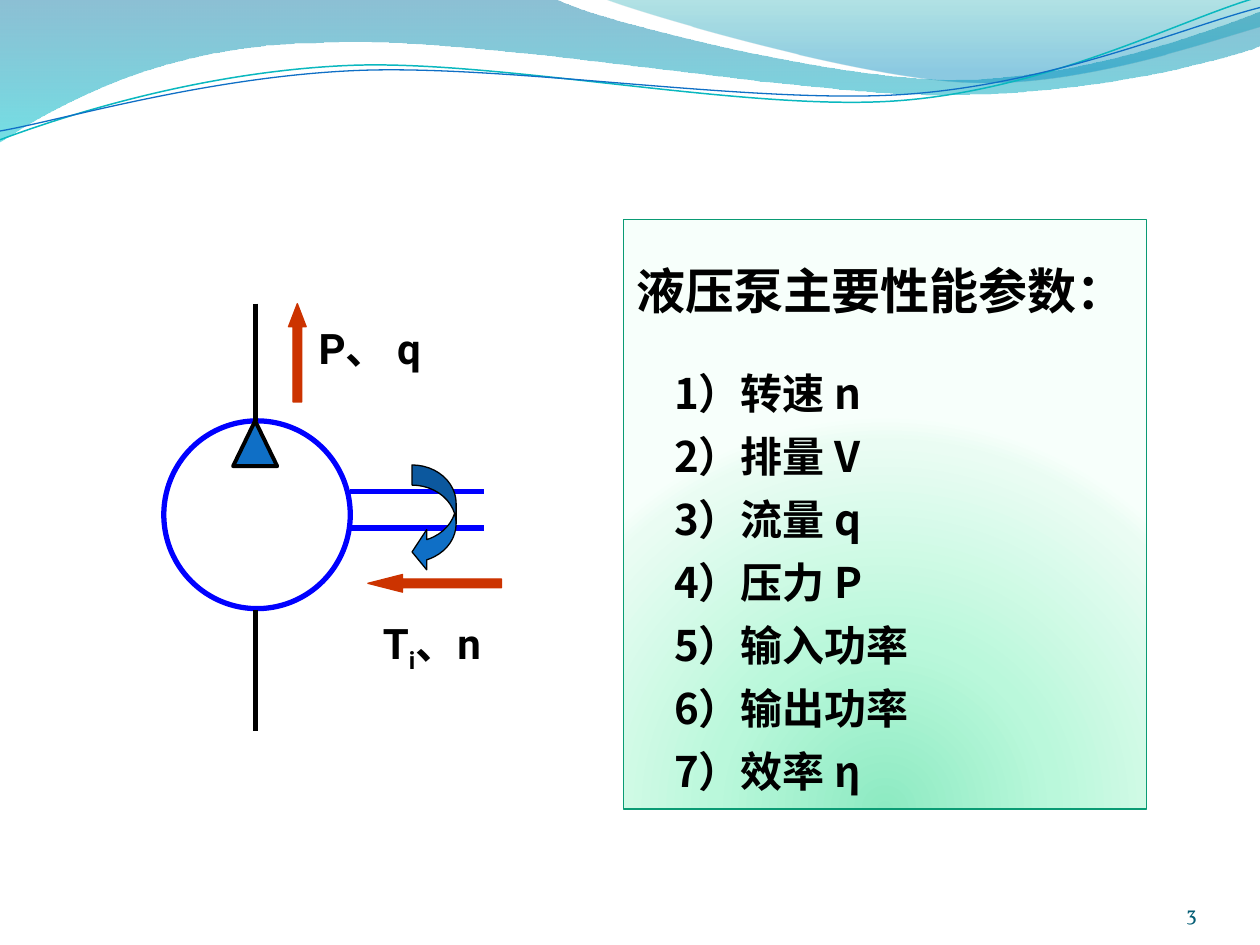
from dataclasses import dataclass
from typing import Optional

from lxml.etree import SubElement
from pptx import Presentation
from pptx.dml.color import RGBColor
from pptx.enum.shapes import MSO_CONNECTOR, MSO_SHAPE
from pptx.enum.text import MSO_ANCHOR, MSO_AUTO_SIZE, PP_ALIGN
from pptx.oxml import parse_xml
from pptx.oxml.ns import nsdecls, qn
from pptx.util import Cm, Pt

CJK = "Noto Sans CJK SC"
LINEAR = '<a:lin ang="5400000" scaled="0"/>'
RADIAL = ('<a:path path="circle"><a:fillToRect l="50000" t="130000" '
          'r="50000" b="-30000"/></a:path>')


@dataclass
class Wave:
    start: tuple
    segments: list
    stops: Optional[list] = None
    line: str = ""
    width: float = 0


@dataclass
class Part:
    kind: MSO_SHAPE
    box: tuple
    fill: str
    line: str
    width: float
    adjustments: tuple = ()


@dataclass
class Pipe:
    start: tuple
    end: tuple
    line: str


WAVES = [
    Wave((0, -0.01), [
        (4.4, -0.01), (4.76, 0.17, 6.64, 0.63, 7.58, 0.63),
        (8.53, 0.63, 9.58, 0.26, 10, 0.09), (10.01, 0.36),
        (9.83, 0.44, 8.7, 0.76, 7.46, 0.75), (6.22, 0.75, 3.82, 0.28, 2.57, 0.34),
        (1.29, 0.35, 0.46, 0.83, -0.01, 1.13), (0, -0.01)],
        stops=[(0, "0074A1", 45), (100, "00C6CF", 55)]),
    Wave((4.79, -0.01), [
        (5.09, 0.11, 6.82, 0.62, 7.69, 0.65), (8.56, 0.69, 9.61, 0.32, 10, 0.21),
        (10, 0), (4.79, -0.01)],
        stops=[(0, "00A1A9", 30), (80, "008BBF", 45)]),
    Wave((0, 1.11), [
        (0.48, 0.93, 1.58, 0.57, 2.77, 0.52), (3.95, 0.47, 5.93, 0.89, 7.13, 0.8),
        (8.33, 0.71, 9.38, 0.15, 9.98, -0.02)], line="0AB8BF", width=0.85),
    Wave((0, 1.04), [
        (0.47, 0.96, 1.64, 0.61, 2.83, 0.56), (4.03, 0.51, 5.97, 0.83, 7.17, 0.75),
        (8.36, 0.67, 9.41, 0.21, 10, 0.06)], line="0F6FC6", width=0.75),
]
PUMP = [
    Part(MSO_SHAPE.OVAL, (1.3, 3.34, 1.48, 1.49), "", "0000FF", 3),
    Part(MSO_SHAPE.ISOSCELES_TRIANGLE, (1.85, 3.34, 0.35, 0.36), "0F6FC6", "000000", 2.25),
]
PIPES = [
    Pipe((2.78, 3.9), (3.84, 3.9), "0000FF"),
    Pipe((2.78, 4.19), (3.84, 4.19), "0000FF"),
    Pipe((2.03, 4.84), (2.03, 5.8), "000000"),
    Pipe((2.03, 2.41), (2.03, 3.34), "000000"),
]
ARROWS = [
    Part(MSO_SHAPE.CURVED_LEFT_ARROW, (3.27, 3.69, 0.35, 0.85), "0F6FC6", "000000", 0.75,
         (0.457, 0.913, 0.333)),
    Part(MSO_SHAPE.UP_ARROW, (2.29, 2.41, 0.14, 0.78), "CC3300", "CC3300", 0.75, (0.5, 1.304)),
    Part(MSO_SHAPE.LEFT_ARROW, (2.92, 4.56, 1.06, 0.14), "CC3300", "CC3300", 0.75, (0.5, 1.962)),
]
HEADING = "液压泵主要性能参数："
PARAMETERS = ["转速 n", "排量 V", "流量 q", "压力 P", "输入功率", "输出功率", "效率 η"]


def color(value: str) -> RGBColor:
    return RGBColor.from_string(value)


def cm(inches: float) -> Cm:
    return Cm(inches * 2.54)


def set_line(sp, value: str, width: float) -> None:
    sp.line.color.rgb = color(value)
    sp.line.width = Pt(width)


def set_gradient(sp, stops: list, direction: str) -> None:
    sp.fill.background()
    stop_xml = "".join(
        f'<a:gs pos="{pos * 1000}"><a:srgbClr val="{color(value)}">'
        f'<a:alpha val="{alpha * 1000}"/></a:srgbClr></a:gs>'
        for pos, value, alpha in stops)
    grad = parse_xml(f'<a:gradFill {nsdecls("a")} rotWithShape="1">'
                     f'<a:gsLst>{stop_xml}</a:gsLst>{direction}</a:gradFill>')
    props = sp._element.spPr
    props.replace(props.find(qn("a:noFill")), grad)


def set_font(p, name: str, size: float, value: str = "000000", bold: bool = True) -> None:
    f = p.font
    f.size, f.bold = Pt(size), bold
    f.color.rgb = color(value)
    f.name = name
    SubElement(f._rPr, qn("a:ea")).set("typeface", CJK)


def bend(sp, segments: list) -> None:
    edges = iter(list(sp._element.iter(qn("a:lnTo"))))
    for segment in segments:
        edge = next(edges)
        if len(segment) == 6:
            curve = parse_xml(f'<a:cubicBezTo {nsdecls("a")}/>')
            edge.addprevious(curve)
            for e in (edge, next(edges), next(edges)):
                curve.append(e[0])
                e.getparent().remove(e)


def add_wave(s, wave: Wave) -> None:
    points = [(cm(segment[i]), cm(segment[i + 1]))
              for segment in wave.segments for i in range(0, len(segment), 2)]
    builder = s.shapes.build_freeform(*map(cm, wave.start))
    builder.add_line_segments(points, close=bool(wave.stops))
    sp = builder.convert_to_shape()
    bend(sp, wave.segments)
    sp.shadow.inherit = False
    if wave.stops:
        set_gradient(sp, wave.stops, LINEAR)
        sp.line.fill.background()
    else:
        sp.fill.background()
        set_line(sp, wave.line, wave.width)


def add_part(s, part: Part) -> None:
    sp = s.shapes.add_shape(part.kind, *map(cm, part.box))
    sp.shadow.inherit = False
    for i, value in enumerate(part.adjustments):
        sp.adjustments[i] = value
    if part.fill:
        sp.fill.solid()
        sp.fill.fore_color.rgb = color(part.fill)
    else:
        sp.fill.background()
    set_line(sp, part.line, part.width)


def add_pipe(s, pipe: Pipe) -> None:
    line = s.shapes.add_connector(MSO_CONNECTOR.STRAIGHT, *map(cm, pipe.start + pipe.end))
    set_line(line, pipe.line, 3)
    SubElement(line._element.spPr, qn("a:effectLst"))


def add_label(s, box: tuple, runs: list) -> None:
    tf = s.shapes.add_textbox(*map(cm, box)).text_frame
    tf.word_wrap = True
    p = tf.paragraphs[0]
    set_font(p, "Roboto", 24)
    for text, baseline in runs:
        r = p.add_run()
        r.text = text
        if baseline:
            r.font._rPr.set("baseline", str(baseline * 1000))


def add_page_number(s) -> None:
    tf = s.shapes.add_textbox(*map(cm, (8.67, 6.95, 0.83, 0.4))).text_frame
    tf.word_wrap = True
    tf.vertical_anchor = MSO_ANCHOR.BOTTOM
    tf.margin_left = tf.margin_right = tf.margin_top = tf.margin_bottom = 0
    p = tf.paragraphs[0]
    p.text, p.alignment = "3", PP_ALIGN.RIGHT
    set_font(p, "Vollkorn", 12, "045D75", False)


def format_line(p, text: str, size: float, spacing: float, after: float, indent: float) -> None:
    p.text = text
    p.line_spacing, p.space_before, p.space_after = Pt(spacing), Pt(0), Pt(after)
    props = p._p.get_or_add_pPr()
    props.set("marL", str(cm(indent)))
    props.set("indent", "0")
    SubElement(props, qn("a:buNone"))
    set_font(p, CJK, size)


def fill_panel(sp) -> None:
    sp.left, sp.top, sp.width, sp.height = map(cm, (4.95, 1.74, 4.15, 4.68))
    set_gradient(sp, [(0, "8DEAC2", 100), (43, "BAF8DB", 100),
                      (93, "EAFCF3", 100), (100, "F7FFFB", 100)], RADIAL)
    set_line(sp, "0A9B74", 0.75)
    tf = sp.text_frame
    tf.auto_size, tf.vertical_anchor = MSO_AUTO_SIZE.NONE, MSO_ANCHOR.BOTTOM
    tf.margin_bottom = cm(0.1)
    format_line(tf.paragraphs[0], HEADING, 28, 42, 20.5, 0)
    for number, name in enumerate(PARAMETERS, 1):
        format_line(tf.add_paragraph(), f"{number}）{name}", 24, 36, 0, 0.3)


def main() -> None:
    prs = Presentation()
    prs.slide_width, prs.slide_height = cm(10), cm(7.5)
    s = prs.slides.add_slide(prs.slide_layouts[1])
    title, panel = s.shapes.title, s.placeholders[1]
    s.shapes._spTree.remove(title._element)
    for wave in WAVES:
        add_wave(s, wave)
    for part in PUMP:
        add_part(s, part)
    for pipe in PIPES:
        add_pipe(s, pipe)
    for arrow in ARROWS:
        add_part(s, arrow)
    add_label(s, (2.43, 2.51, 1.19, 0.44), [("P、 q", 0)])
    add_label(s, (2.94, 4.85, 1.03, 0.44), [("T", 0), ("i", -25), ("、n", 0)])
    fill_panel(panel)
    add_page_number(s)
    prs.save("out.pptx")


if __name__ == "__main__":
    main()
